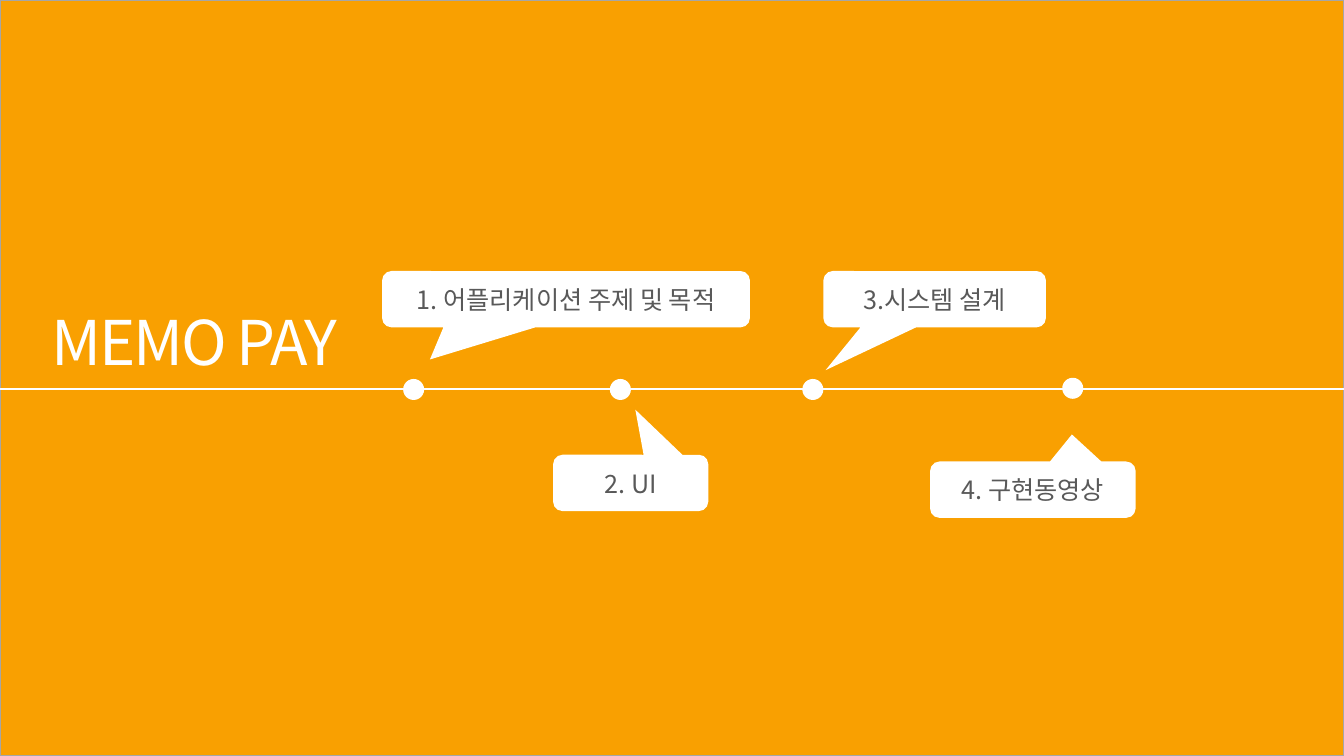
"""Build the MEMO PAY contents slide: four callouts along a timeline."""
from lxml import etree
from pptx import Presentation
from pptx.dml.color import RGBColor
from pptx.enum.shapes import MSO_CONNECTOR, MSO_SHAPE
from pptx.enum.text import MSO_ANCHOR, MSO_AUTO_SIZE, PP_ALIGN
from pptx.oxml.ns import qn
from pptx.util import Cm, Pt

RECTANGLE = MSO_SHAPE.RECTANGLE
CALLOUT = MSO_SHAPE.ROUNDED_RECTANGULAR_CALLOUT
OVAL = MSO_SHAPE.OVAL
STRAIGHT = MSO_CONNECTOR.STRAIGHT
MIDDLE = MSO_ANCHOR.MIDDLE
CENTER = PP_ALIGN.CENTER
FIT_SHAPE = MSO_AUTO_SIZE.SHAPE_TO_FIT_TEXT

FONT = "Noto Sans CJK KR"
COLORS = {"orange": "F9A001", "white": "FFFFFF", "text": "595959", "border": "A6A6A6"}
WIDTH, HEIGHT = 33.87, 19.05
LINE_Y = 9.8
CALLOUT_HEIGHT = 1.42
DOT_SIZE = 0.53


def color(name):
    return RGBColor.from_string(COLORS[name])


def write(shape, text, size=18, ink="text", spacing=None):
    para = shape.text_frame.paragraphs[0]
    para.alignment = CENTER
    span = para.add_run()
    span.text = text
    span.font.size = Pt(size)
    span.font.name = FONT
    span.font.color.rgb = color(ink)
    properties = span.font._element
    etree.SubElement(properties, qn("a:ea")).set("typeface", FONT)
    if spacing is not None:
        properties.set("spc", str(int(spacing * 100)))


deck = Presentation()
deck.slide_width, deck.slide_height = Cm(WIDTH), Cm(HEIGHT)
page = deck.slides.add_slide(deck.slide_layouts[6])

backdrop = page.shapes.add_shape(RECTANGLE, 0, 0, Cm(WIDTH), Cm(HEIGHT))
backdrop.shadow.inherit = False
backdrop.fill.solid()
backdrop.fill.fore_color.rgb = color("orange")
backdrop.line.color.rgb = color("border")
backdrop.line.width = Pt(1)

timeline = page.shapes.add_connector(STRAIGHT, 0, Cm(LINE_Y), Cm(WIDTH), Cm(LINE_Y))
timeline.line.color.rgb = color("white")
timeline.line.width = Pt(2)
etree.SubElement(timeline._element.spPr, qn("a:effectLst"))

callouts = [
    ("1. 어플리케이션 주제 및 목적", 9.63, 6.83, 9.27, -0.37, 1.07),
    ("2. UI", 13.94, 11.46, 3.91, 0.03, -1.3),
    ("3.시스템 설계", 20.75, 6.83, 5.61, -0.49, 1.26),
    ("4. 구현동영상", 23.44, 11.63, 5.18, 0.19, -0.98),
]
for text, left, top, width, tip_x, tip_y in callouts:
    box = page.shapes.add_shape(CALLOUT, Cm(left), Cm(top), Cm(width), Cm(CALLOUT_HEIGHT))
    box.adjustments[0] = tip_x
    box.adjustments[1] = tip_y
    box.shadow.inherit = False
    box.fill.solid()
    box.fill.fore_color.rgb = color("white")
    box.line.fill.background()
    box.text_frame.word_wrap = True
    box.text_frame.vertical_anchor = MIDDLE
    write(box, text)

for left, top in [(10.16, 9.55), (15.37, 9.55), (20.22, 9.55), (26.77, 9.52)]:
    dot = page.shapes.add_shape(OVAL, Cm(left), Cm(top), Cm(DOT_SIZE), Cm(DOT_SIZE))
    dot.shadow.inherit = False
    dot.fill.solid()
    dot.fill.fore_color.rgb = color("white")
    dot.line.fill.background()

title = page.shapes.add_textbox(Cm(0.84), Cm(7.54), Cm(8.13), Cm(2.13))
title.text_frame.word_wrap = False
title.text_frame.auto_size = FIT_SHAPE
write(title, "MEMO PAY", size=44, ink="white", spacing=-1.5)

deck.save("out.pptx")
